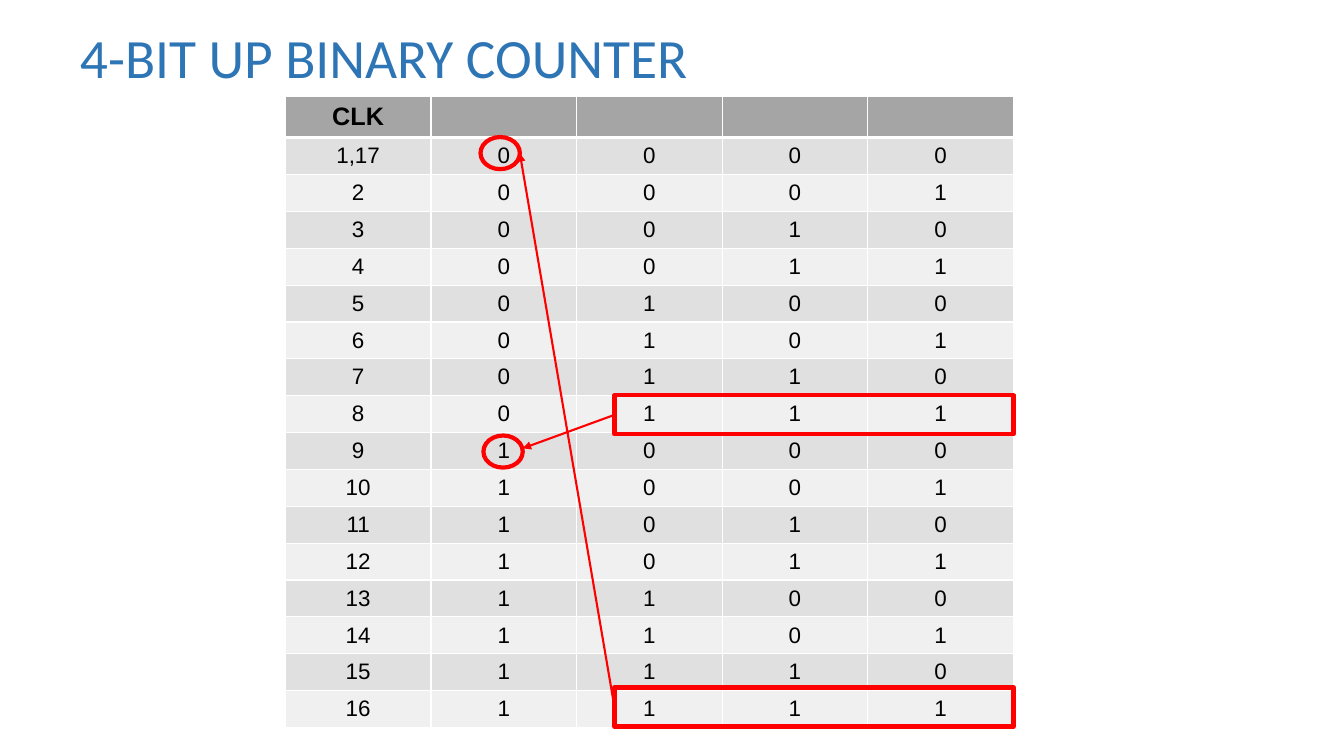
import dataclasses

import lxml.etree
import pptx
import pptx.dml.color
import pptx.enum.shapes
import pptx.enum.text
import pptx.oxml.ns
import pptx.util


@dataclasses.dataclass(frozen=True)
class Theme:
    title_font: str = "Calibri"
    body_font: str = "Arial"
    title_size: float = 39.6
    header_size: float = 18
    body_size: float = 16
    title_color: str = "2E75B5"
    text_color: str = "000000"
    header_fill: str = "A5A5A5"
    band_fills: tuple = ("E0E0E0", "F0F0F0")
    border_color: str = "FFFFFF"
    mark_color: str = "FF0000"
    border_width: float = 1
    header_rule: float = 3
    mark_width: float = 3
    arrow_width: float = 1.5


def color(code):
    return pptx.dml.color.RGBColor.from_string(code)


def add_element(parent, tag, **attributes):
    return lxml.etree.SubElement(parent, pptx.oxml.ns.qn(tag), attributes)


class CounterSlide:
    """Places elements on a grid whose row 0 is the first data row."""
    left, top = pptx.util.Inches(2.83), pptx.util.Inches(1.36)
    column_width, row_height = pptx.util.Pt(104), pptx.util.Pt(26.35)
    header_height = pptx.util.Inches(0.4)

    def __init__(self, presentation, theme):
        self.theme = theme
        self.width = presentation.slide_width
        self.height = presentation.slide_height
        self.slide = presentation.slides.add_slide(presentation.slide_layouts[5])

    def box(self, column, row, columns, rows):
        return (round(self.left + column * self.column_width),
                round(self.top + row * self.row_height),
                round(columns * self.column_width),
                round(rows * self.row_height))

    def add_text(self, paragraph, text, font_name, size, code, bold=False):
        run = paragraph.add_run()
        run.text = text
        run.font.name = font_name
        run.font.size = pptx.util.Pt(size)
        run.font.bold = bold
        run.font.color.rgb = color(code)

    def title(self, text):
        shape = self.slide.shapes.title
        shape.left, shape.top = round(0.052 * self.width), round(0.032 * self.height)
        shape.width, shape.height = round(0.863 * self.width), round(0.096 * self.height)
        frame = shape.text_frame
        frame.word_wrap = True
        frame.auto_size = pptx.enum.text.MSO_AUTO_SIZE.NONE
        frame.vertical_anchor = pptx.enum.text.MSO_ANCHOR.MIDDLE
        paragraph = frame.paragraphs[0]
        paragraph.alignment = pptx.enum.text.PP_ALIGN.LEFT
        paragraph.line_spacing = 0.9
        self.add_text(paragraph, text, self.theme.title_font, self.theme.title_size,
                      self.theme.title_color)

    def borders(self, cell, row):
        properties = cell._tc.get_or_add_tcPr()
        ruled_side = {0: "a:lnB", 1: "a:lnT"}.get(row)
        for side in ("a:lnL", "a:lnR", "a:lnT", "a:lnB"):
            ruled = side == ruled_side
            points = self.theme.header_rule if ruled else self.theme.border_width
            line = add_element(properties, side, w=str(pptx.util.Pt(points)))
            fill = add_element(line, "a:solidFill")
            add_element(fill, "a:srgbClr", val=self.theme.border_color)

    def cell(self, cell, row, text):
        theme = self.theme
        header = row == 0
        self.borders(cell, row)
        cell.fill.solid()
        cell.fill.fore_color.rgb = color(
            theme.header_fill if header else theme.band_fills[(row - 1) % 2])
        cell.vertical_anchor = pptx.enum.text.MSO_ANCHOR.MIDDLE
        paragraph = cell.text_frame.paragraphs[0]
        paragraph.alignment = pptx.enum.text.PP_ALIGN.CENTER
        if text:
            self.add_text(paragraph, text, theme.body_font,
                          theme.header_size if header else theme.body_size,
                          theme.text_color, bold=header)

    def table(self, rows):
        left, top, width, height = self.box(0, 0, len(rows[0]), len(rows) - 1)
        table = self.slide.shapes.add_table(
            len(rows), len(rows[0]), left, top - self.header_height,
            width, height + self.header_height).table
        table.first_row = table.horz_banding = False
        for column in table.columns:
            column.width = self.column_width
        for index, texts in enumerate(rows):
            table.rows[index].height = self.row_height if index else self.header_height
            for column, text in enumerate(texts):
                self.cell(table.cell(index, column), index, text)

    def outline(self, kind, column, row, columns, rows):
        shape = self.slide.shapes.add_shape(kind, *self.box(column, row, columns, rows))
        shape.shadow.inherit = False
        shape.fill.background()
        shape.line.color.rgb = color(self.theme.mark_color)
        shape.line.width = pptx.util.Pt(self.theme.mark_width)
        return shape

    def ring(self, column, row):
        return self.outline(pptx.enum.shapes.MSO_SHAPE.OVAL, column, row, 0.27, 0.87)

    def frame(self, row):
        return self.outline(pptx.enum.shapes.MSO_SHAPE.RECTANGLE, 2.26, row, 2.74, 1.06)

    def arrow(self, frame, ring, share):
        """Runs from the frame's left side to the ring's right, at a share of its height."""
        connector = self.slide.shapes.add_connector(
            pptx.enum.shapes.MSO_CONNECTOR.STRAIGHT,
            frame.left, frame.top + frame.height // 2,
            ring.left + ring.width, round(ring.top + share * ring.height))
        connector.begin_connect(frame, 1)
        connector.line.color.rgb = color(self.theme.mark_color)
        connector.line.width = pptx.util.Pt(self.theme.arrow_width)
        properties = connector._element.spPr
        add_element(properties.find(pptx.oxml.ns.qn("a:ln")), "a:tailEnd", type="triangle")
        add_element(properties, "a:effectLst")


def main():
    presentation = pptx.Presentation()
    presentation.slide_width = pptx.util.Inches(13.33)
    presentation.slide_height = pptx.util.Inches(7.5)
    counter = CounterSlide(presentation, Theme())

    # Title
    counter.title("4-BIT UP BINARY COUNTER")

    # Counting table: each clock pulse shows the bits of the count
    rows = [["CLK", "", "", "", ""]]
    for count in range(16):
        clock = str(count + 1) if count else "1,17"
        rows.append([clock, *f"{count:04b}"])
    counter.table(rows)

    # Marks: all ones in the low bits lead to a change of the top bit
    for frame_row, ring_column, ring_row, share in (
            (7, 1.36, 8.09, 0.4), (14.92, 1.34, 0, 0.5)):
        ring = counter.ring(ring_column, ring_row)
        frame = counter.frame(frame_row)
        counter.arrow(frame, ring, share)

    presentation.save("out.pptx")


if __name__ == "__main__":
    main()
